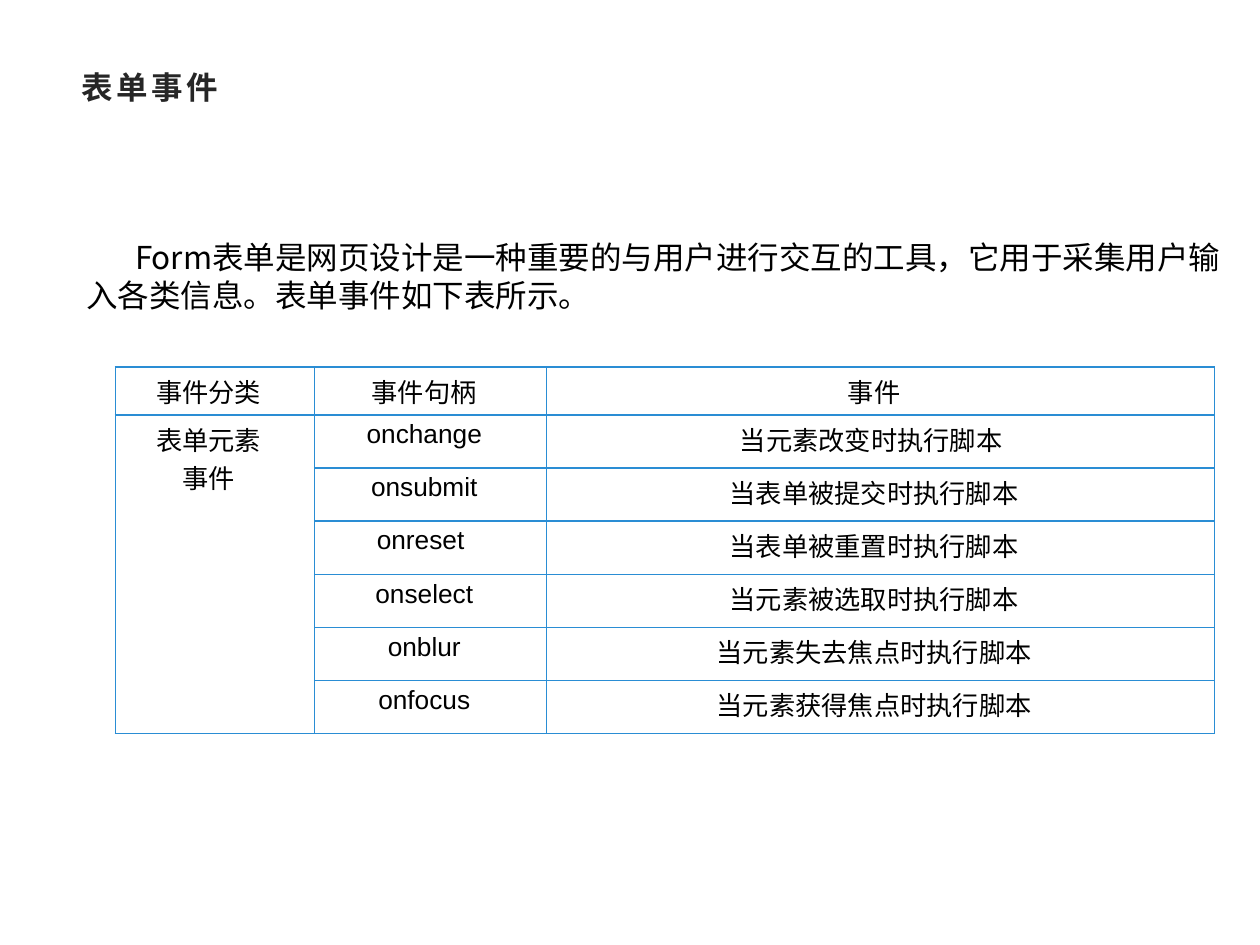
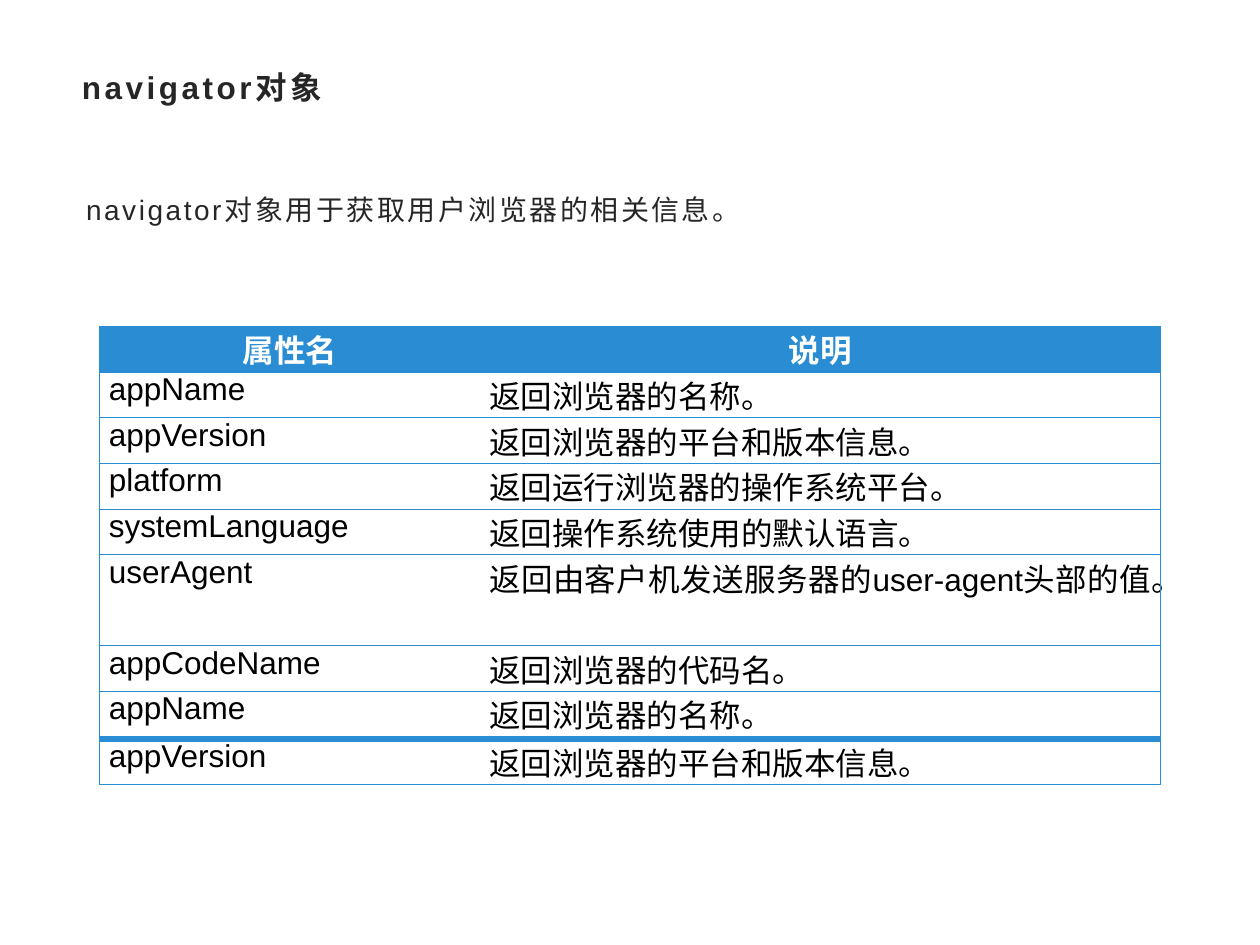
from lxml import etree
from pptx import Presentation
from pptx import util as u
from pptx.dml import color
from pptx.enum import text
from pptx.oxml import ns

Pt = u.Pt
LATIN, CJK = "Arial", "Noto Sans CJK SC"
BLUE, DARK, BLACK, WHITE = "2A8DD4", "262626", "000000", "FFFFFF"
LEFT, CENTER, JUSTIFY = (text.PP_ALIGN.LEFT, text.PP_ALIGN.CENTER,
                         text.PP_ALIGN.JUSTIFY)

# Content
FORM_TITLE = "表单事件"
FORM_INTRO = ("Form表单是网页设计是一种重要的与用户进行交互的工具，"
              "它用于采集用户输入各类信息。表单事件如下表所示。")
FORM_HEADER = ("事件分类", "事件句柄", "事件")
FORM_CATEGORY = "表单元素\n事件"
FORM_EVENTS = [
    ("onchange", "当元素改变时执行脚本 "),
    ("onsubmit", "当表单被提交时执行脚本"),
    ("onreset ", "当表单被重置时执行脚本"),
    ("onselect", "当元素被选取时执行脚本"),
    ("onblur", "当元素失去焦点时执行脚本"),
    ("onfocus", "当元素获得焦点时执行脚本"),
]

NAVIGATOR_TITLE = "navigator对象"
NAVIGATOR_INTRO = "navigator对象用于获取用户浏览器的相关信息。"
NAVIGATOR_HEADER = ("属性名", "说明")
NAVIGATOR_PROPERTIES = [
    ("appName", "返回浏览器的名称。"),
    ("appVersion", "返回浏览器的平台和版本信息。"),
    ("platform", "返回运行浏览器的操作系统平台。"),
    ("systemLanguage", "返回操作系统使用的默认语言。"),
    ("userAgent", "返回由客户机发送服务器的user-agent头部的值。"),
    ("appCodeName", "返回浏览器的代码名。"),
    ("appName", "返回浏览器的名称。"),
    ("appVersion", "返回浏览器的平台和版本信息。"),
]


def rgb(value):
    return color.RGBColor.from_string(value)


def write(frame, content, size, ink, align=LEFT, bold=False, latin=LATIN,
          spacing=0):
    """Fill a text frame, one paragraph per line of content."""
    for index, line in enumerate(content.split("\n")):
        paragraph = frame.add_paragraph() if index else frame.paragraphs[0]
        paragraph.alignment = align
        run = paragraph.add_run()
        run.text = line
        font = run.font
        font.size, font.bold, font.name = Pt(size), bold, latin
        font.color.rgb = rgb(ink)
        properties = run._r.get_or_add_rPr()
        properties.set("spc", str(int(spacing * 100)))
        etree.SubElement(properties, ns.qn("a:ea"), typeface=CJK)


def set_margins(target, left, top, right, bottom):
    target.margin_left, target.margin_top = Pt(left), Pt(top)
    target.margin_right, target.margin_bottom = Pt(right), Pt(bottom)


def add_titled_slide(presentation, title):
    slide = presentation.slides.add_slide(presentation.slide_layouts[5])
    shape = slide.shapes.title
    shape.left, shape.top = Pt(39.6), Pt(34.6)
    shape.width, shape.height = Pt(640.8), Pt(34.6)
    frame = shape.text_frame
    frame.word_wrap = True
    frame.auto_size = text.MSO_AUTO_SIZE.NONE
    frame.vertical_anchor = text.MSO_ANCHOR.TOP
    set_margins(frame, 7.2, 4.4, 7.2, 3.6)
    write(frame, title, 18, DARK, bold=True, spacing=2)
    return slide


def add_intro(slide, box, content, size, ink, **style):
    shape = slide.shapes.add_textbox(*map(Pt, box))
    frame = shape.text_frame
    frame.word_wrap = True
    write(frame, content, size, ink, **style)
    return frame


def add_grid(slide, left, top, widths, heights):
    table = slide.shapes.add_table(
        len(heights), len(widths), Pt(left), Pt(top),
        Pt(sum(widths)), Pt(sum(heights))).table
    table.first_row = table.horz_banding = False
    for column, width in zip(table.columns, widths):
        column.width = Pt(width)
    for row, height in zip(table.rows, heights):
        row.height = Pt(height)
    return table


def format_cell(cell, margins, borders, fill=None):
    """Borders are widths for left, right, top and bottom; 0 means none."""
    set_margins(cell, *margins)
    cell.vertical_anchor = text.MSO_ANCHOR.TOP
    properties = cell._tc.get_or_add_tcPr()
    for side, width in zip("LRTB", borders):
        line = etree.SubElement(properties, ns.qn(f"a:ln{side}"),
                                w=str(Pt(width)))
        if width:
            solid = etree.SubElement(line, ns.qn("a:solidFill"))
            etree.SubElement(solid, ns.qn("a:srgbClr"), val=BLUE)
        else:
            etree.SubElement(line, ns.qn("a:noFill"))
    if fill:
        cell.fill.solid()
        cell.fill.fore_color.rgb = rgb(fill)
    else:
        cell.fill.background()


def build_form_slide(presentation):
    slide = add_titled_slide(presentation, FORM_TITLE)
    frame = add_intro(slide, (42.1, 132.5, 669.6, 59.8), FORM_INTRO, 18,
                      BLACK, latin=CJK)
    frame.margin_top = Pt(3.4)
    paragraph = frame.paragraphs[0]
    paragraph.line_spacing = Pt(21.7)
    paragraph._p.get_or_add_pPr().set("indent", str(Pt(28)))

    # Event table, with the category cell spanning every event
    rows = [FORM_HEADER] + [
        ("" if index else FORM_CATEGORY, *event)
        for index, event in enumerate(FORM_EVENTS)]
    table = add_grid(slide, 66, 209.8, (113.8, 132.5, 381.6),
                     [27.4] + [30.35] * len(FORM_EVENTS))
    for row_index, row in enumerate(rows):
        for column_index, content in enumerate(row):
            cell = table.cell(row_index, column_index)
            format_cell(cell, (0, 2.9, 7.2, 2.9), (1, 1, 1, 1))
            if content:
                write(cell.text_frame, content, 15, BLACK, CENTER)
    table.cell(1, 0).merge(table.cell(len(FORM_EVENTS), 0))


def build_navigator_slide(presentation):
    slide = add_titled_slide(presentation, NAVIGATOR_TITLE)
    frame = add_intro(slide, (42.1, 100.8, 571, 54.7), NAVIGATOR_INTRO, 16,
                      DARK, spacing=1.5)
    frame.paragraphs[0].line_spacing = 1.3

    # Property table: outer frame and row rules, heavy rule above the last row
    rows = [NAVIGATOR_HEADER] + NAVIGATOR_PROPERTIES
    last = len(rows) - 1
    heights = [26.1] * len(rows)
    heights[5], heights[7] = 52.1, 27.4
    table = add_grid(slide, 56.9, 186.5, (217.4, 388.8), heights)
    for row_index, row in enumerate(rows):
        header = row_index == 0
        above = 4 if row_index == last else 0.5
        below = 4 if row_index == last - 1 else 0.5
        for column_index, content in enumerate(row):
            cell = table.cell(row_index, column_index)
            sides = (0, 0.5) if column_index else (0.5, 0)
            format_cell(cell, (5.3, 0, 5.3, 0), (*sides, above, below),
                        BLUE if header else None)
            write(cell.text_frame, content, 18, WHITE if header else BLACK,
                  CENTER if header else JUSTIFY, bold=header)


def main():
    presentation = Presentation()
    presentation.slide_width, presentation.slide_height = Pt(720), Pt(540)
    build_form_slide(presentation)
    build_navigator_slide(presentation)
    presentation.save("out.pptx")


if __name__ == "__main__":
    main()
